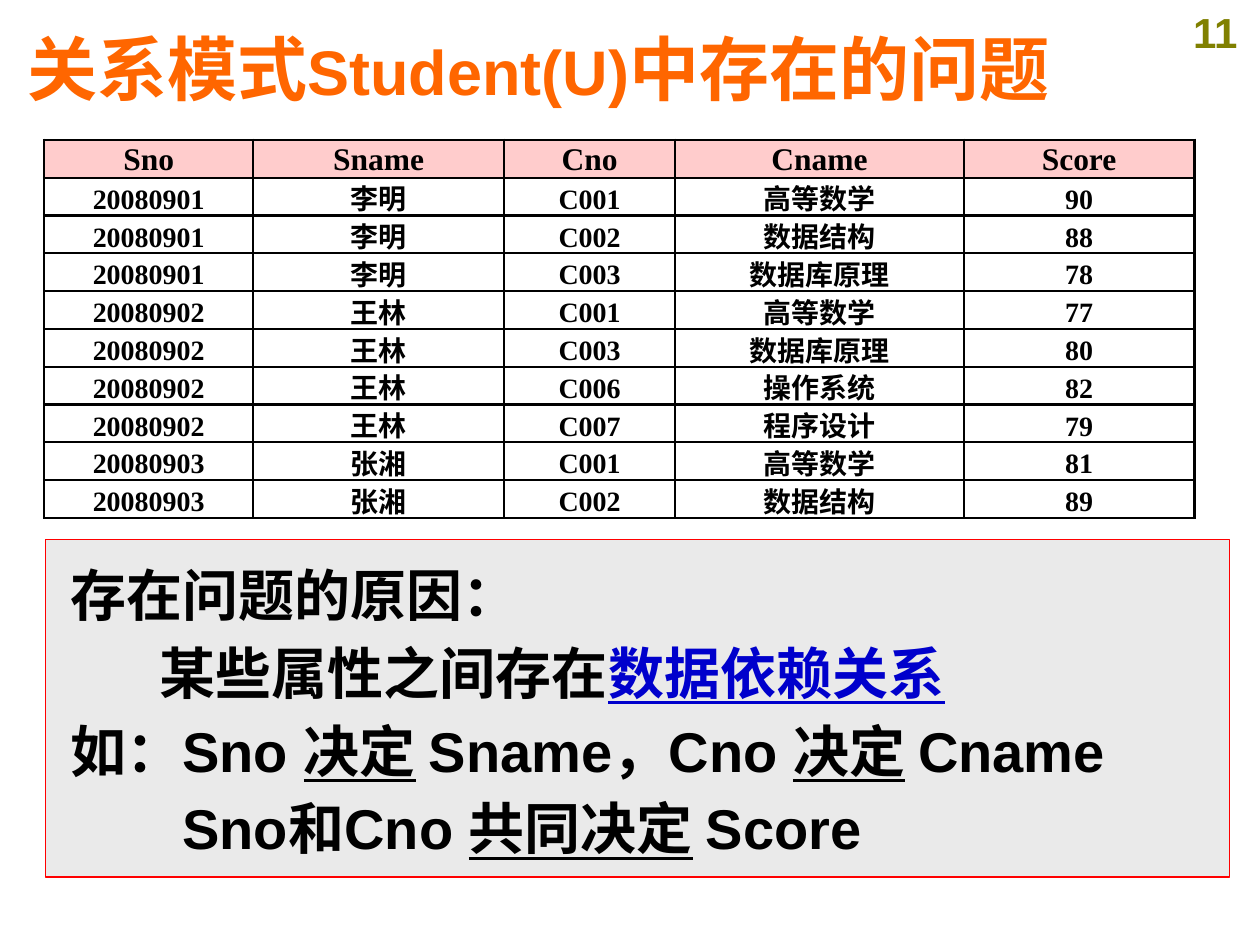
from lxml.etree import SubElement
from pptx import Presentation
from pptx.dml.color import RGBColor
from pptx.enum.shapes import MSO_SHAPE as Shape
from pptx.enum.text import MSO_ANCHOR as Anchor, PP_ALIGN as Align
from pptx.oxml.ns import qn
from pptx.util import Inches, Pt

ORANGE = RGBColor(0xFF, 0x66, 0x00)
OLIVE = RGBColor(0x80, 0x80, 0x00)
BLACK = RGBColor(0x00, 0x00, 0x00)
BLUE = RGBColor(0x00, 0x00, 0xCC)
RED = RGBColor(0xFF, 0x00, 0x00)
GRAY = RGBColor(0xEA, 0xEA, 0xEA)
PINK = RGBColor(0xFF, 0xCC, 0xCC)

COLUMN_WIDTHS = [1.66, 1.99, 1.36, 2.29, 1.83]
HEADER = ["Sno", "Sname", "Cno", "Cname", "Score"]
STUDENTS = {"20080901": "李明", "20080902": "王林", "20080903": "张湘"}
COURSES = {"C001": "高等数学", "C002": "数据结构", "C003": "数据库原理",
           "C006": "操作系统", "C007": "程序设计"}
SCORES = [
    ("20080901", "C001", "90"), ("20080901", "C002", "88"),
    ("20080901", "C003", "78"), ("20080902", "C001", "77"),
    ("20080902", "C003", "80"), ("20080902", "C006", "82"),
    ("20080902", "C007", "79"), ("20080903", "C001", "81"),
    ("20080903", "C002", "89"),
]

UNDERLINED = {"underline": True}
# Each line: left indent in inches, then its runs with their own formats
REASON_LINES = [
    (0.1, [("存在问题的原因：", {})]),
    (0.81, [("某些属性之间存在", {}),
            ("数据依赖关系", {"underline": True, "color": BLUE})]),
    (0.1, [("如：Sno ", {}), ("决定", UNDERLINED), (" Sname，Cno ", {}),
           ("决定", UNDERLINED), (" Cname", {})]),
    (0.99, [("Sno和Cno ", {}), ("共同决定", UNDERLINED), (" Score", {})]),
]


def add_run(paragraph, text, size, color=BLACK, name="Arial", **formats):
    run = paragraph.add_run()
    run.text = text
    run.font.color.rgb = color
    formats = {"size": Pt(size), "name": name, "bold": True, **formats}
    for attribute, value in formats.items():
        setattr(run.font, attribute, value)


def place(shape, box):
    for attribute, value in zip(("left", "top", "width", "height"), box):
        setattr(shape, attribute, Inches(value))


def set_margins(target, left, top, right, bottom):
    margins = {"left": left, "top": top, "right": right, "bottom": bottom}
    for side, value in margins.items():
        setattr(target, f"margin_{side}", Inches(value))


def add_title(slide, box):
    title = slide.shapes.title
    place(title, box)
    frame = title.text_frame
    frame.vertical_anchor = Anchor.MIDDLE
    set_margins(frame, 0.1, 0.05, 0.1, 0.05)
    paragraph = frame.paragraphs[0]
    paragraph.alignment = Align.LEFT
    for text, size in [("关系模式", 40), ("Student(U)", 36), ("中存在的问题", 40)]:
        add_run(paragraph, text, size, ORANGE)


def add_page_number(slide, box):
    frame = slide.shapes.add_textbox(*map(Inches, box)).text_frame
    frame.word_wrap = True
    paragraph = frame.paragraphs[0]
    paragraph.alignment = Align.CENTER
    add_run(paragraph, "11", 24, OLIVE)


def add_reasons(slide, box):
    panel = slide.shapes.add_shape(Shape.RECTANGLE, *map(Inches, box))
    panel.shadow.inherit = False
    panel.fill.solid()
    panel.fill.fore_color.rgb = GRAY
    panel.line.color.rgb = RED
    panel.line.width = Pt(0.75)
    frame = panel.text_frame
    frame.word_wrap = True
    frame.vertical_anchor = Anchor.TOP
    set_margins(frame, 0.1, 0.17, 0.1, 0.05)
    for index, (indent, runs) in enumerate(REASON_LINES):
        paragraph = frame.add_paragraph() if index else frame.paragraphs[0]
        paragraph.alignment = Align.LEFT
        paragraph.space_before = Pt(6 if index else 0)
        properties = paragraph._p.get_or_add_pPr()
        properties.set("marL", str(Inches(indent)))
        properties.set("indent", "0")
        for text, formats in runs:
            add_run(paragraph, text, 32, **formats)


def format_cell(cell, text, is_header):
    set_margins(cell, 0, 0, 0, 0)
    cell.vertical_anchor = Anchor.BOTTOM
    paragraph = cell.text_frame.paragraphs[0]
    paragraph.alignment = Align.CENTER
    add_run(paragraph, text, 18 if is_header else 16, name="Times New Roman")
    # Borders come before the fill in the cell properties
    properties = cell._tc.get_or_add_tcPr()
    for side in ("a:lnL", "a:lnR", "a:lnT", "a:lnB"):
        border = SubElement(properties, qn(side), w=str(Pt(1.5)))
        fill = SubElement(border, qn("a:solidFill"))
        SubElement(fill, qn("a:srgbClr"), val=str(BLACK))
    if is_header:
        cell.fill.solid()
        cell.fill.fore_color.rgb = PINK
    else:
        cell.fill.background()


def add_score_table(slide, box):
    rows = [HEADER] + [[student, STUDENTS[student], course, COURSES[course], score]
                       for student, course, score in SCORES]
    table = slide.shapes.add_table(len(rows), len(HEADER), *map(Inches, box)).table
    table.first_row = table.horz_banding = False
    for column, width in zip(table.columns, COLUMN_WIDTHS):
        column.width = Inches(width)
    for row_index, values in enumerate(rows):
        table.rows[row_index].height = Inches(0.3)
        for column_index, text in enumerate(values):
            format_cell(table.cell(row_index, column_index), text, row_index == 0)


def main():
    presentation = Presentation()
    presentation.slide_width = Inches(10)
    presentation.slide_height = Inches(7.5)
    slide = presentation.slides.add_slide(presentation.slide_layouts[5])
    add_page_number(slide, (9.29, 0, 0.71, 0.5))
    add_title(slide, (0.12, 0.16, 9.8, 0.76))
    add_reasons(slide, (0.36, 4.28, 9.4, 2.68))
    add_score_table(slide, (0.35, 1.11, 9.14, 3.03))
    presentation.save("out.pptx")


if __name__ == "__main__":
    main()
